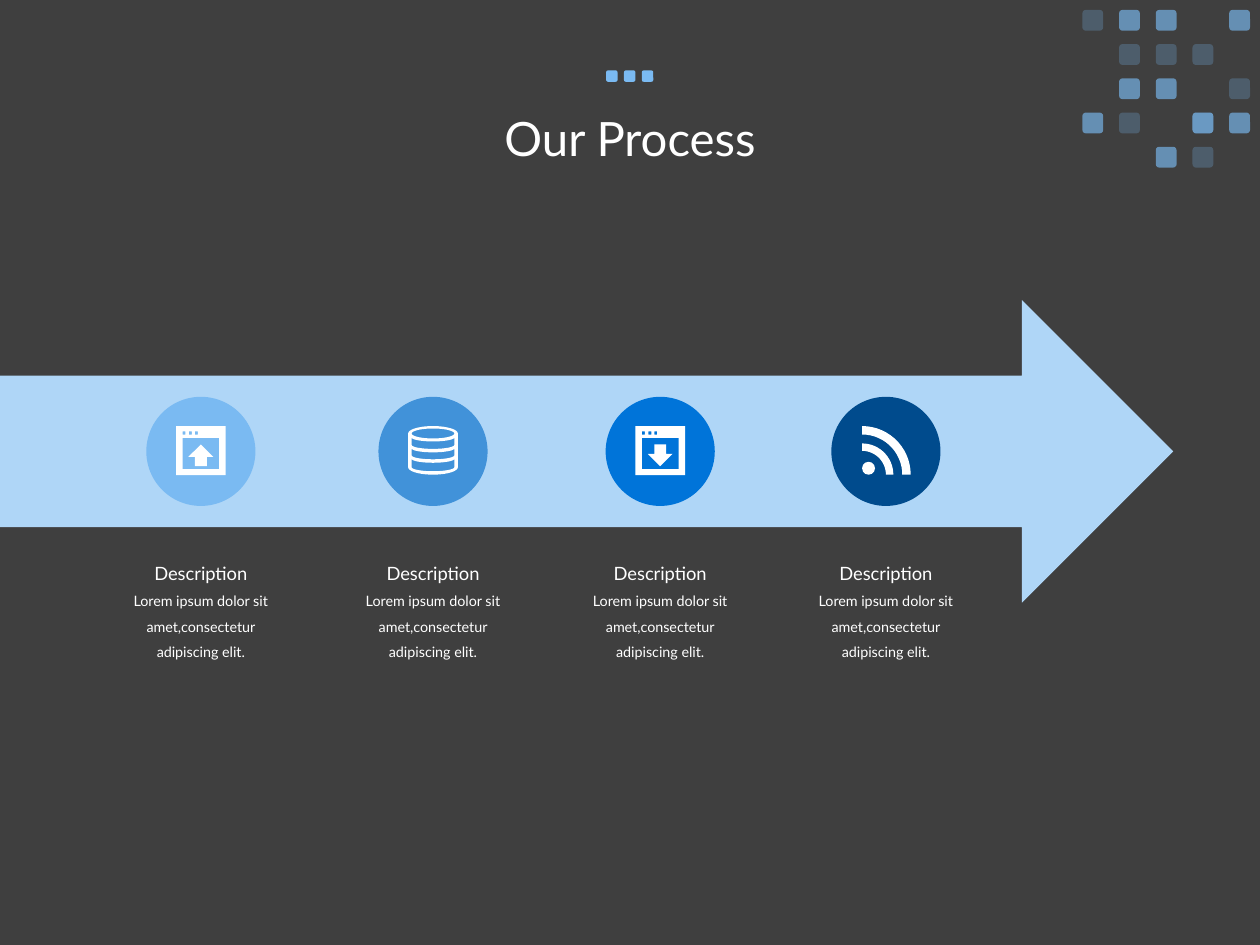
"""Build the "Our Process" arrow slide with four icon steps."""
from dataclasses import dataclass
from math import cos, radians, sin
from typing import Callable

from lxml.etree import SubElement
from pptx import Presentation
from pptx.dml.color import RGBColor as RGB
from pptx.enum.shapes import MSO_SHAPE as Shape
from pptx.enum.text import MSO_ANCHOR as Anchor, PP_ALIGN as Align
from pptx.oxml.ns import qn
from pptx.shapes.autoshape import Shape as AutoShape
from pptx.shapes.shapetree import SlideShapes
from pptx.util import Cm, Pt

Point = tuple[float, float]
Contour = list[Point]


@dataclass(frozen=True)
class Theme:
    font: str = "Lato"
    background: str = "3F3F3F"
    text: str = "FFFFFF"
    accent: str = "7ABAF2"
    arrow: str = "AFD6F7"
    title_size: float = 27
    heading_size: float = 10.5
    body_size: float = 8.2


@dataclass(frozen=True)
class Step:
    x: float
    color: str
    icon: Callable[[SlideShapes, float, float], None]
    heading: str = "Description"
    body: str = "Lorem ipsum dolor sit amet,consectetur adipiscing elit."


THEME = Theme()
AXIS_Y = 9.1
CIRCLE = 2.2
MOSAIC = ["L D D . D", ". L L L .", ". D D . L", "D L . B D", ". . D L ."]
ALPHAS = {".": (), "L": (25,), "D": (65,), "B": (65, 25)}


def paint(sp: AutoShape, color: str, alpha: int = 100) -> None:
    sp.shadow.inherit = False
    sp.fill.solid()
    sp.fill.fore_color.rgb = RGB.from_string(color)
    sp.line.fill.background()
    if alpha < 100:
        clr = sp.element.spPr.find(f"{qn('a:solidFill')}/{qn('a:srgbClr')}")
        SubElement(clr, qn("a:alpha"), val=str(alpha * 1000))


def add_preset(shapes: SlideShapes, kind: Shape, x: float, y: float, w: float, h: float,
               color: str, alpha: int = 100) -> None:
    paint(shapes.add_shape(kind, Cm(x), Cm(y), Cm(w), Cm(h)), color, alpha)


def add_outline(shapes: SlideShapes, x: float, y: float, contours: list[Contour]) -> None:
    placed = [[(Cm(x + dx), Cm(y + dy)) for dx, dy in c] for c in contours]
    fb = shapes.build_freeform(*placed[0][0])
    fb.add_line_segments(placed[0][1:], close=True)
    for start, *rest in placed[1:]:
        fb.move_to(*start)
        fb.add_line_segments(rest, close=True)
    paint(fb.convert_to_shape(), THEME.text)


def add_text(shapes: SlideShapes, x: float, y: float, w: float, h: float, text: str, size: float,
             spacing: float = 1.0, wrap: bool = True, anchor: Anchor = Anchor.TOP) -> None:
    tf = shapes.add_textbox(Cm(x), Cm(y), Cm(w), Cm(h)).text_frame
    tf.word_wrap = wrap
    tf.vertical_anchor = anchor
    tf.margin_top = tf.margin_bottom = Cm(0.13)
    p = tf.paragraphs[0]
    p.text = text
    p.alignment = Align.CENTER
    p.line_spacing = spacing
    p.font.name = THEME.font
    p.font.size = Pt(size)
    p.font.color.rgb = RGB.from_string(THEME.text)


def box(left: float, top: float, right: float, bottom: float) -> Contour:
    return [(left, top), (right, top), (right, bottom), (left, bottom)]


def arc(cx: float, cy: float, rx: float, ry: float, start: int, end: int) -> Contour:
    step = 6 if end > start else -6
    return [(cx + rx * cos(radians(a)), cy + ry * sin(radians(a)))
            for a in range(start, end + step, step)]


def draw_window(shapes: SlideShapes, x: float, y: float, direction: int) -> None:
    buttons = [box(dx, -0.4, dx + 0.06, -0.34) for dx in (-0.37, -0.24, -0.12)]
    add_outline(shapes, x, y, [box(-0.5, -0.51, 0.5, 0.48), box(-0.37, -0.27, 0.37, 0.36), *buttons])
    pointer = [(0, -0.22), (0.25, 0.03), (0.12, 0.03), (0.12, 0.22),
               (-0.12, 0.22), (-0.12, 0.03), (-0.25, 0.03)]
    add_outline(shapes, x, y + 0.08, [[(dx, dy * direction) for dx, dy in pointer]])


def draw_upload(shapes: SlideShapes, x: float, y: float) -> None:
    draw_window(shapes, x, y, 1)


def draw_download(shapes: SlideShapes, x: float, y: float) -> None:
    draw_window(shapes, x, y, -1)


def draw_database(shapes: SlideShapes, x: float, y: float) -> None:
    body = arc(0, -0.36, 0.5, 0.15, 180, 360) + arc(0, 0.32, 0.5, 0.15, 0, 180)
    lid = arc(0, -0.36, 0.43, 0.1, 0, 354)
    bands = [arc(0, top, 0.43, 0.08, 180, 0) + arc(0, bottom, 0.43, 0.08, 0, 180)
             for top, bottom in ((-0.28, -0.13), (-0.06, 0.08), (0.15, 0.32))]
    add_outline(shapes, x, y, [body, lid, *bands])


def draw_feed(shapes: SlideShapes, x: float, y: float) -> None:
    left, bottom, dot = -0.48, 0.47, 0.26
    add_preset(shapes, Shape.OVAL, x + left, y + bottom - dot, dot, dot, THEME.text)
    for outer, inner in ((0.63, 0.48), (0.98, 0.81)):
        add_outline(shapes, x, y, [arc(left, bottom, outer, outer, 270, 360)
                                   + arc(left, bottom, inner, inner, 360, 270)])


def draw_mosaic(shapes: SlideShapes) -> None:
    for row, line in enumerate(MOSAIC):
        for col, key in enumerate(line.split()):
            for alpha in ALPHAS[key]:
                add_preset(shapes, Shape.ROUNDED_RECTANGLE, 21.82 + 0.74 * col, 0.2 + 0.69 * row,
                           0.42, 0.42, THEME.accent, alpha)


def draw_step(shapes: SlideShapes, step: Step) -> None:
    r = CIRCLE / 2
    add_preset(shapes, Shape.OVAL, step.x - r, AXIS_Y - r, CIRCLE, CIRCLE, step.color)
    step.icon(shapes, step.x, AXIS_Y)
    add_text(shapes, step.x - 1.25, 11.2, 2.5, 0.71, step.heading, THEME.heading_size, wrap=False)
    add_text(shapes, step.x - 1.9, 11.63, 3.8, 1.78, step.body, THEME.body_size, spacing=1.5)


def main() -> None:
    prs = Presentation()
    prs.slide_width, prs.slide_height = Cm(25.4), Cm(19.05)
    s = prs.slides.add_slide(prs.slide_layouts[6])
    s.background.fill.solid()
    s.background.fill.fore_color.rgb = RGB.from_string(THEME.background)
    shapes = s.shapes
    add_text(shapes, 1.75, 1, 21.9, 3.68, "Our Process", THEME.title_size, 0.9, anchor=Anchor.MIDDLE)
    draw_mosaic(shapes)
    for i in range(3):
        add_preset(shapes, Shape.ROUNDED_RECTANGLE, 12.22 + 0.36 * i, 1.42, 0.23, 0.23, THEME.accent)
    add_preset(shapes, Shape.NOTCHED_RIGHT_ARROW, -1.55, AXIS_Y - 3.05, 25.2, 6.1, THEME.arrow)
    steps = [
        Step(4.05, THEME.accent, draw_upload),
        Step(8.73, "4192D9", draw_database),
        Step(13.31, "0074D9", draw_download),
        Step(17.86, "004B8D", draw_feed),
    ]
    for step in steps:
        draw_step(shapes, step)
    prs.save("out.pptx")


if __name__ == "__main__":
    main()
